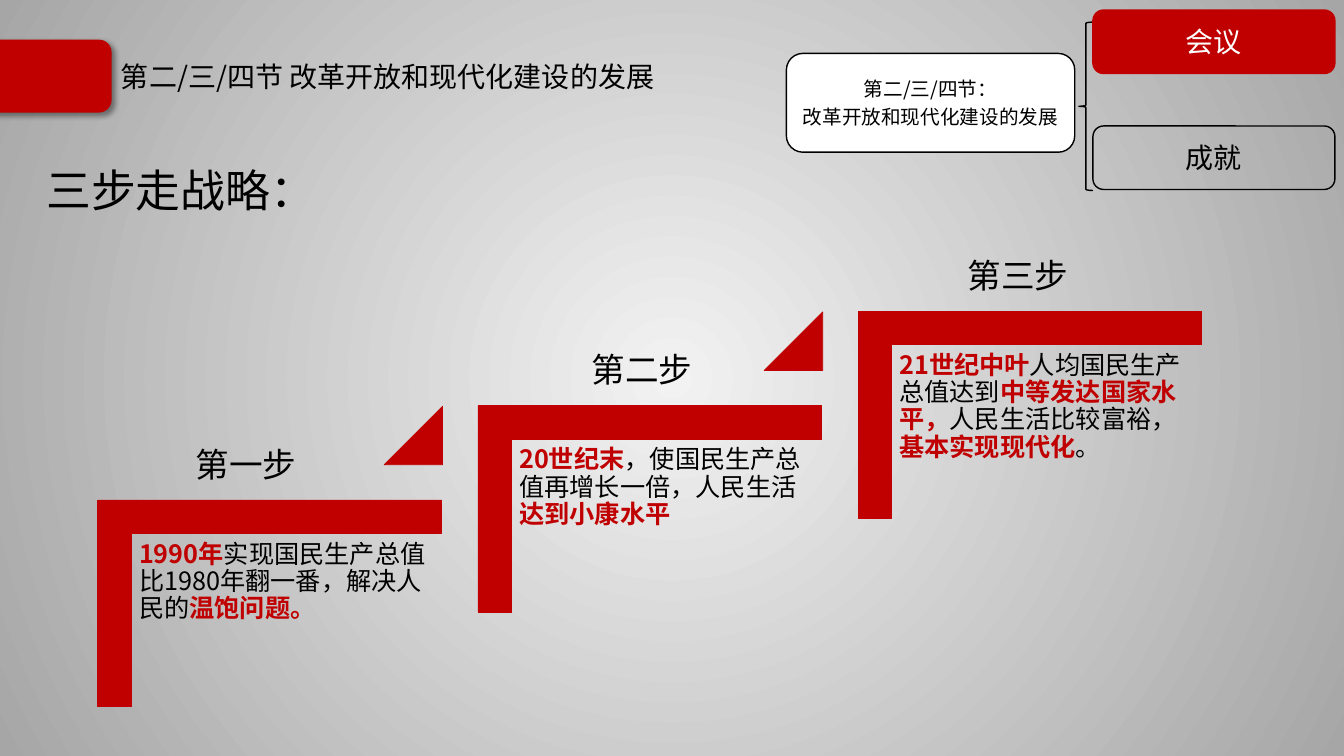
from dataclasses import dataclass

from lxml import etree
from pptx import Presentation
from pptx.dml.color import RGBColor
from pptx.enum.shapes import MSO_SHAPE
from pptx.enum.text import MSO_ANCHOR, MSO_AUTO_SIZE, PP_ALIGN
from pptx.oxml.ns import qn
from pptx.shapes.autoshape import Shape
from pptx.slide import Slide
from pptx.text.text import Font, TextFrame
from pptx.util import Inches, Pt

ROUNDED, BRACE = MSO_SHAPE.ROUNDED_RECTANGLE, MSO_SHAPE.LEFT_BRACE
CORNER, TRIANGLE = MSO_SHAPE.CORNER, MSO_SHAPE.ISOSCELES_TRIANGLE
LEFT, CENTER = PP_ALIGN.LEFT, PP_ALIGN.CENTER
TOP, MIDDLE = MSO_ANCHOR.TOP, MSO_ANCHOR.MIDDLE
NO_FIT = MSO_AUTO_SIZE.NONE

COLORS = {"red": "C00000", "black": "000000", "white": "FFFFFF",
          "center": "F2F2F2", "edge": "A6A6A6"}
TITLE_FONT, TEXT_FONT = "Noto Sans CJK JP", "Noto Sans CJK SC"

FIRST_LEFT, FIRST_TOP = 0.97, 4.96
STEP_RIGHT, STEP_UP = 3.77, 0.935
ARM_WIDTH, ARM_HEIGHT, ARM_THICKNESS = 3.41, 2.05, 0.161


@dataclass
class Box:
    left: float
    top: float
    width: float
    height: float

    def lengths(self) -> list[Inches]:
        return [Inches(v) for v in (self.left, self.top, self.width, self.height)]


@dataclass
class Step:
    name: str
    name_left: float
    spans: list[tuple[str, bool]]  # text, emphasised


@dataclass
class Node:
    box: Box
    lines: list[str]
    size: int
    fill: str | None
    line: str
    ink: str


STEPS = [
    Step("第一步", 1.84, [("1990年", True),
                       ("实现国民生产总值比1980年翻一番，解决人民的", False),
                       ("温饱问题。", True)]),
    Step("第二步", 5.77, [("20世纪末", True),
                       ("，使国民生产总值再增长一倍，人民生活", False),
                       ("达到小康水平", True)]),
    Step("第三步", 9.5, [("21世纪中叶", True), ("人均国民生产总值达到", False),
                      ("中等发达国家水平，", True), ("人民生活比较富裕，", False),
                      ("基本实现现代化", True), ("。", False)]),
]
NODES = [
    Node(Box(7.8, 0.53, 2.86, 0.98), ["第二/三/四节：", "改革开放和现代化建设的发展"],
         14, "white", "black", "black"),
    Node(Box(10.84, 0.1, 2.4, 0.63), ["会议"], 20, "red", "red", "white"),
    Node(Box(10.84, 1.25, 2.4, 0.63), ["成就"], 20, None, "black", "black"),
]


def rgb(name: str) -> RGBColor:
    return RGBColor.from_string(COLORS[name])


def style_font(para, size: int, color: str | None, name: str = TEXT_FONT) -> None:
    """Set the paragraph font for both Latin and East Asian characters."""
    font: Font = para.font
    font.size, font.name = Pt(size), name
    if color:
        font.color.rgb = rgb(color)
    properties = para._p.pPr.find(qn("a:defRPr"))
    etree.SubElement(properties, qn("a:ea"), typeface=name)


def write(frame: TextFrame, lines: list[str], size: int, color: str,
          align: PP_ALIGN = LEFT, anchor: MSO_ANCHOR = TOP) -> None:
    frame.word_wrap = True
    frame.vertical_anchor = anchor
    for index, line in enumerate(lines):
        para = frame.add_paragraph() if index else frame.paragraphs[0]
        para.add_run().text = line
        para.alignment = align
        if index:
            para.space_before = Pt(size * 0.2)
        style_font(para, size, color)


def add_figure(page: Slide, kind: MSO_SHAPE, box: Box, fill: str | None,
               line: str, weight: float = 1) -> Shape:
    figure = page.shapes.add_shape(kind, *box.lengths())
    figure.shadow.inherit = False
    if fill:
        figure.fill.solid()
        figure.fill.fore_color.rgb = rgb(fill)
    else:
        figure.fill.background()
    figure.line.color.rgb = rgb(line)
    figure.line.width = Pt(weight)
    return figure


def add_step(page: Slide, index: int, step: Step) -> None:
    left = FIRST_LEFT + index * STEP_RIGHT
    top = FIRST_TOP - index * STEP_UP

    # The corner is turned a quarter, so its frame swaps width and height.
    turn = (ARM_WIDTH - ARM_HEIGHT) / 2
    frame = Box(left + turn, top - turn, ARM_HEIGHT, ARM_WIDTH)
    corner = add_figure(page, CORNER, frame, "red", "red", 0.5)
    corner.rotation = 90
    corner.adjustments[0] = corner.adjustments[1] = ARM_THICKNESS

    detail = page.shapes.add_textbox(
        *Box(left + 0.34, top + 0.34, 3.08, 2.7).lengths()).text_frame
    detail.word_wrap = True
    detail.margin_left = detail.margin_right = Inches(0.07)
    detail.margin_top = detail.margin_bottom = Inches(0.07)
    para = detail.paragraphs[0]
    para.line_spacing = 0.9
    style_font(para, 18, None)
    for text, emphasised in step.spans:
        span = para.add_run()
        span.text = text
        span.font.bold = emphasised
        span.font.color.rgb = rgb("red" if emphasised else "black")

    if index < len(STEPS) - 1:
        triangle = add_figure(page, TRIANGLE, Box(left + 2.84, top - 0.93, 0.58, 0.58),
                              "red", "red", 0.5)
        triangle.adjustments[0] = 1

    label = page.shapes.add_textbox(*Box(step.name_left, top - 0.61, 1.68, 0.5).lengths())
    write(label.text_frame, [step.name], 24, "black")


def paint_background(page: Slide) -> None:
    """Fill the page with a gradient that spreads from its centre."""
    fill = page.background.fill
    fill.gradient()
    for stop, name in zip(fill.gradient_stops, ("center", "edge")):
        stop.color.rgb = rgb(name)
    gradient = page._element.find(".//" + qn("a:gradFill"))
    gradient.remove(gradient.find(qn("a:lin")))
    circle = etree.SubElement(gradient, qn("a:path"), path="circle")
    etree.SubElement(circle, qn("a:fillToRect"), l="50000", t="50000", r="50000", b="50000")


def fill_placeholder(holder, box: Box, text: str, size: int, font: str,
                     spacing: float, anchor: MSO_ANCHOR) -> None:
    holder.left, holder.top, holder.width, holder.height = box.lengths()
    frame = holder.text_frame
    frame.auto_size = NO_FIT
    frame.vertical_anchor = anchor
    para = frame.paragraphs[0]
    para.add_run().text = text
    para.alignment = LEFT
    para.line_spacing = spacing
    para.space_before = Pt(0)
    properties = para._p.get_or_add_pPr()
    properties.set("marL", "0")
    properties.set("indent", "0")
    etree.SubElement(properties, qn("a:buNone"))
    style_font(para, size, "black", font)


def add_title_tab(page: Slide) -> None:
    tab = add_figure(page, ROUNDED, Box(-0.18, 0.4, 1.28, 0.71), "red", "red")
    effects = tab._element.spPr.find(qn("a:effectLst"))
    shadow = etree.SubElement(effects, qn("a:outerShdw"), blurRad=str(Pt(4)),
                              dist=str(Pt(3)), dir="2700000", algn="tl", rotWithShape="0")
    color = etree.SubElement(shadow, qn("a:srgbClr"), val=COLORS["black"])
    etree.SubElement(color, qn("a:alpha"), val="40000")


def main() -> None:
    deck = Presentation()
    deck.slide_width, deck.slide_height = Inches(13.33), Inches(7.5)
    page = deck.slides.add_slide(deck.slide_layouts[1])
    paint_background(page)
    fill_placeholder(page.shapes.title, Box(1.1, 0.42, 11.5, 0.71),
                     "第二/三/四节 改革开放和现代化建设的发展", 20, TITLE_FONT, 0.9, MIDDLE)
    fill_placeholder(page.placeholders[1], Box(0.36, 1.3, 12.79, 0.98),
                     "三步走战略：", 32, TEXT_FONT, 1.5, TOP)
    for index, step in enumerate(STEPS):
        add_step(page, index, step)
    add_title_tab(page)
    add_figure(page, BRACE, Box(10.7, 0.22, 0.14, 1.67), None, "black")
    for node in NODES:
        figure = add_figure(page, ROUNDED, node.box, node.fill, node.line)
        write(figure.text_frame, node.lines, node.size, node.ink, CENTER, MIDDLE)
    deck.save("out.pptx")


if __name__ == "__main__":
    main()
